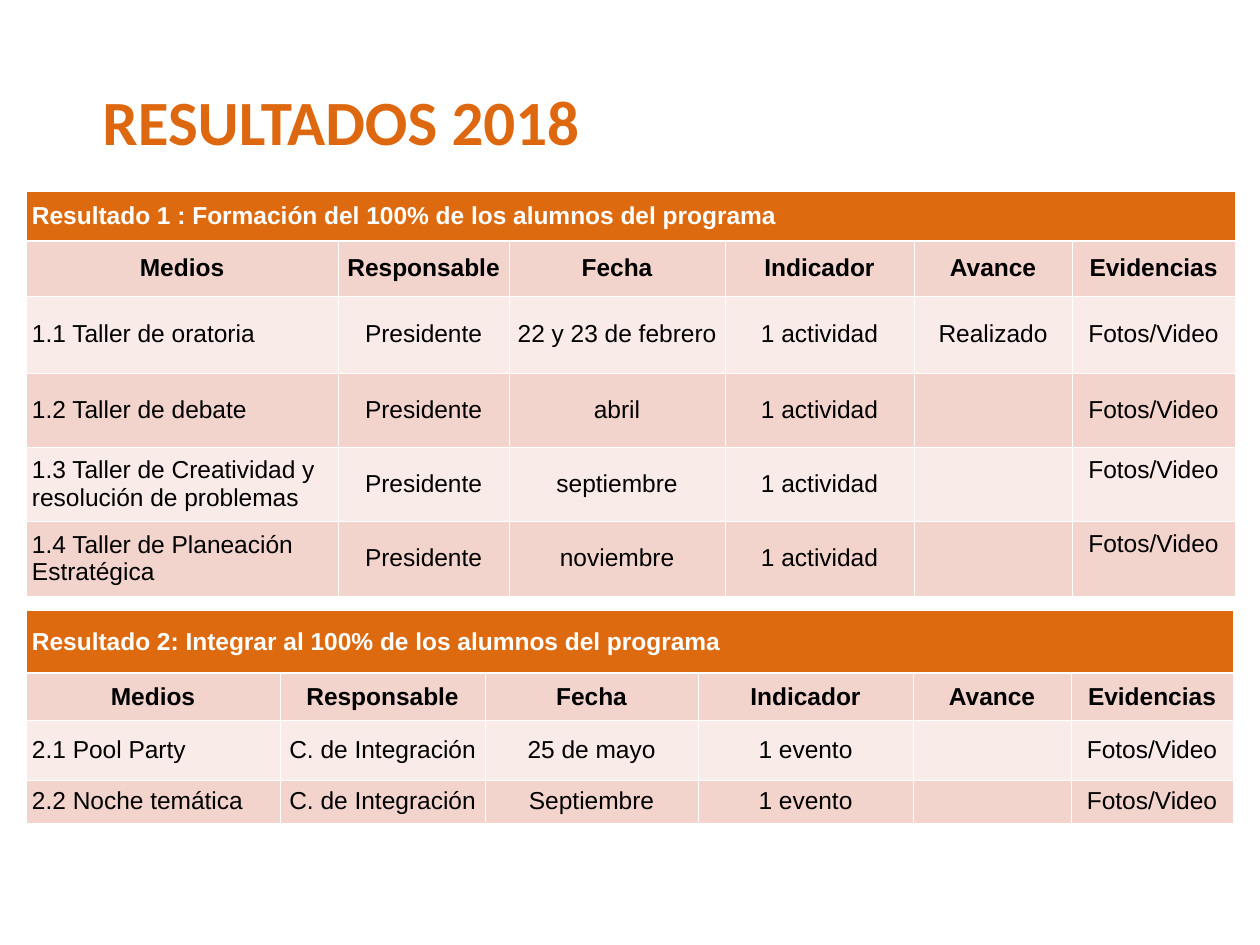
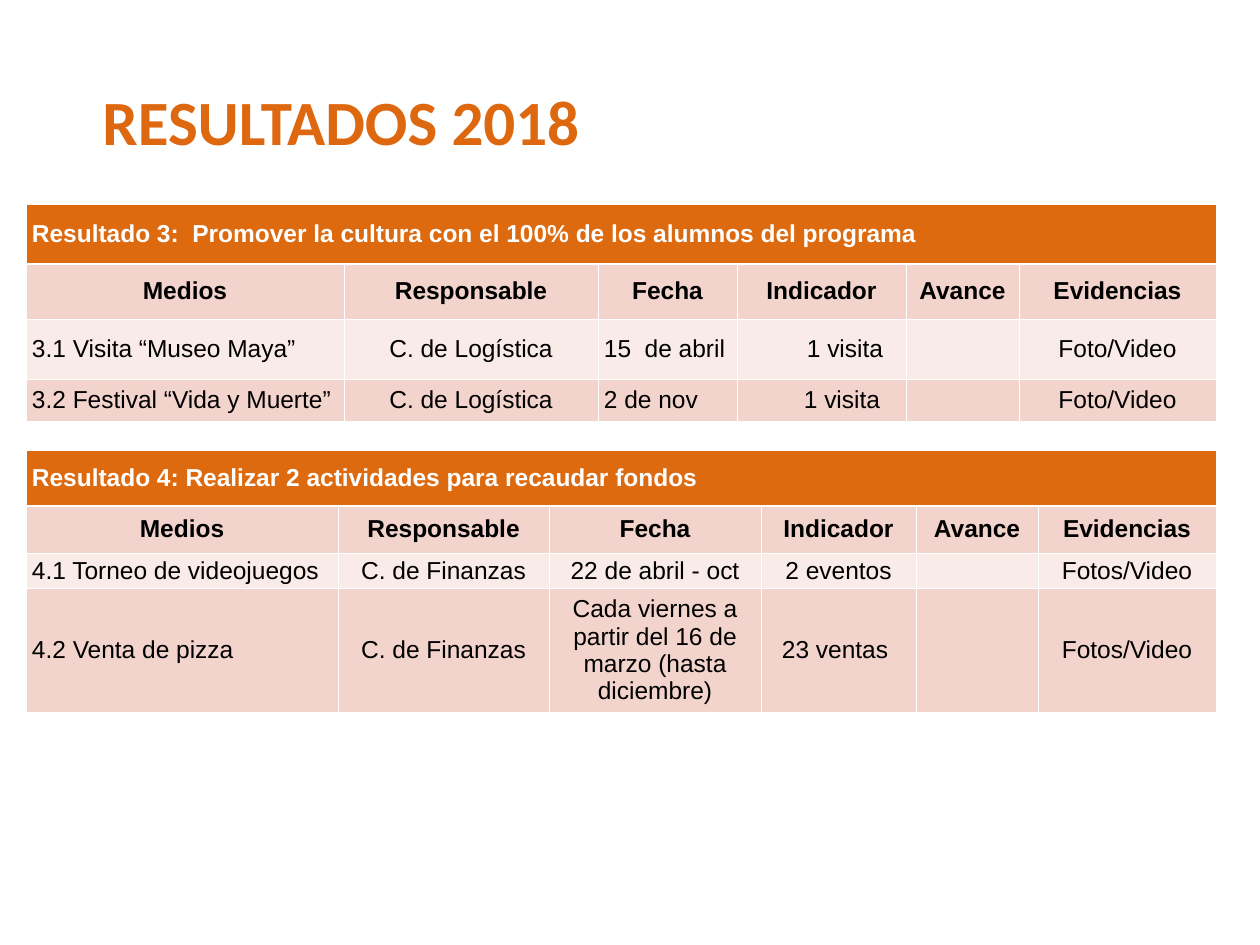
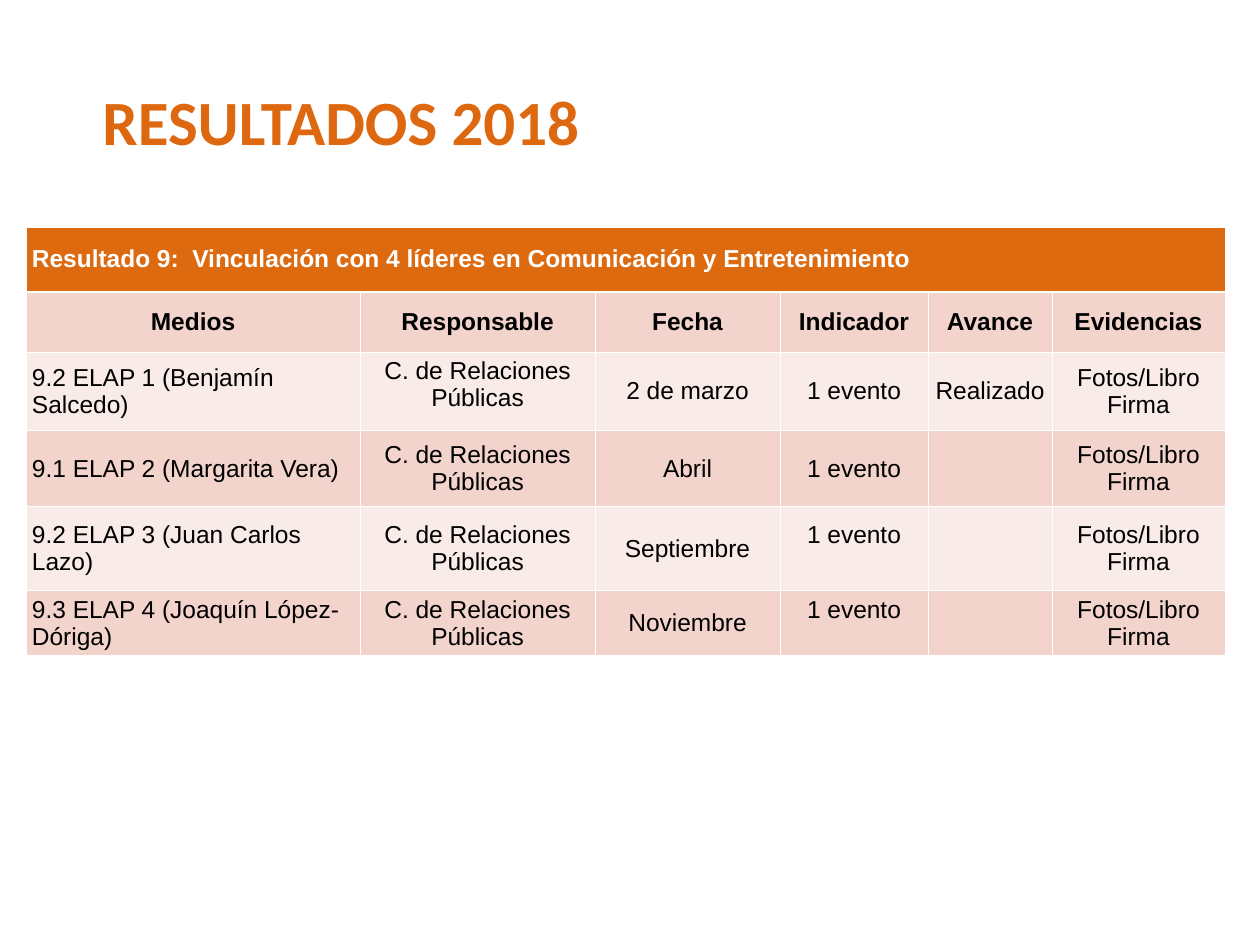
from dataclasses import dataclass, field

from lxml.etree import SubElement
from pptx import Presentation
from pptx.dml.color import RGBColor
from pptx.enum.text import MSO_ANCHOR, PP_ALIGN
from pptx.oxml.ns import qn
from pptx.util import Emu, Pt

PX_PER_INCH = 63
PAGE_WIDTH, PAGE_HEIGHT = 1260, 945
LEFT = 26
TITLE_BOX = (LEFT, 88, 630, 94)
TITLE = "RESULTADOS 2018"
TITLE_COLOR = "DE6810"
BAND = "DE6A10"
DARK_ROW, LIGHT_ROW = "F2D4CC", "F9EBE7"
WHITE, BLACK = "FFFFFF", "000000"
HEADINGS = ("Medios", "Responsable", "Fecha", "Indicador", "Avance", "Evidencias")
PAD_X, PAD_Y = 6, 3
LINE = 28
THIN, THICK = 1, 3


@dataclass
class Result:
    heading: str
    top: int
    widths: tuple
    heights: tuple
    rows: tuple
    left_columns: tuple = (0,)
    extra_margins: dict = field(default_factory=dict)


def px(length):
    return Emu(round(length * 914400 / PX_PER_INCH))


def color(value):
    return RGBColor.from_string(value)


def format_text(paragraph, font_name, size, font_color, bold, align):
    paragraph.alignment = align
    for span in paragraph.runs:
        span.font.name = font_name
        span.font.size = Pt(size)
        span.font.bold = bold
        span.font.color.rgb = color(font_color)


def set_margins(target, left=0, right=0, bottom=0):
    target.margin_left = px(PAD_X + left)
    target.margin_right = px(PAD_X + right)
    target.margin_top = px(PAD_Y)
    target.margin_bottom = px(PAD_Y + bottom)


def add_borders(cell, top, bottom):
    properties = cell._tc.get_or_add_tcPr()
    for side, width in (("L", THIN), ("R", THIN), ("T", top), ("B", bottom)):
        border = SubElement(properties, qn(f"a:ln{side}"), w=str(Pt(width)))
        fill = SubElement(border, qn("a:solidFill"))
        SubElement(fill, qn("a:srgbClr"), val=WHITE)


def add_title(page, left, top, width, height):
    box = page.shapes.add_textbox(px(left), px(top), px(width), px(height))
    frame = box.text_frame
    frame.word_wrap = True
    set_margins(frame)
    frame.text = TITLE
    paragraph = frame.paragraphs[0]
    paragraph.line_spacing = 0.9
    format_text(paragraph, "Calibri", 72, TITLE_COLOR, True, PP_ALIGN.CENTER)


def fill_cell(cell, text, row, column, result):
    add_borders(cell, THICK if row == 1 else THIN, THICK if row == 0 else THIN)
    cell.fill.solid()
    cell.fill.fore_color.rgb = color(BAND if row == 0 else DARK_ROW if row % 2 else LIGHT_ROW)
    cell.vertical_anchor = MSO_ANCHOR.MIDDLE
    set_margins(cell, **result.extra_margins.get((row, column), {}))
    cell.text_frame.text = text
    at_left = row == 0 or (row > 1 and column in result.left_columns)
    format_text(
        cell.text_frame.paragraphs[0],
        "Arial",
        28,
        WHITE if row == 0 else BLACK,
        row < 2,
        PP_ALIGN.LEFT if at_left else PP_ALIGN.CENTER,
    )


def add_result(page, left, result):
    heading_row = (result.heading,) + ("",) * (len(HEADINGS) - 1)
    rows = (heading_row, HEADINGS) + result.rows
    table = page.shapes.add_table(
        len(rows), len(HEADINGS), px(left), px(result.top),
        px(sum(result.widths)), px(sum(result.heights)),
    ).table
    table.first_row = False
    table.horz_banding = False
    for column, width in zip(table.columns, result.widths):
        column.width = px(width)
    for table_row, height in zip(table.rows, result.heights):
        table_row.height = px(height)
    for row, texts in enumerate(rows):
        for column, text in enumerate(texts):
            fill_cell(table.cell(row, column), text, row, column, result)
    table.cell(0, 0).merge(table.cell(0, len(HEADINGS) - 1))


def add_page(deck, results):
    page = deck.slides.add_slide(deck.slide_layouts[6])
    add_title(page, *TITLE_BOX)
    for result in results:
        add_result(page, LEFT, result)


TRAINING = Result(
    "Resultado 1 : Formación del 100% de los alumnos del programa",
    191,
    (312, 171, 216, 189, 158, 163),
    (50, 55, 77, 74, 74, 75),
    (
        ("1.1 Taller de oratoria", "Presidente", "22 y 23 de febrero", "1 actividad", "Realizado", "Fotos/Video"),
        ("1.2 Taller de debate", "Presidente", "abril", "1 actividad", "", "Fotos/Video"),
        ("1.3 Taller de Creatividad y resolución de problemas", "Presidente", "septiembre", "1 actividad", "", "Fotos/Video"),
        ("1.4 Taller de Planeación Estratégica", "Presidente", "noviembre", "1 actividad", "", "Fotos/Video"),
    ),
    extra_margins={(4, 5): {"bottom": LINE}, (5, 5): {"bottom": LINE}},
)
INTEGRATION = Result(
    "Resultado 2: Integrar al 100% de los alumnos del programa",
    610,
    (254, 205, 213, 215, 158, 162),
    (63, 47, 60, 43),
    (
        ("2.1 Pool Party", "C. de Integración", "25 de mayo", "1 evento", "", "Fotos/Video"),
        ("2.2 Noche temática", "C. de Integración", "Septiembre", "1 evento", "", "Fotos/Video"),
    ),
)
CULTURE = Result(
    "Resultado 3:  Promover la cultura con el 100% de los alumnos del programa",
    204,
    (318, 254, 139, 169, 113, 197),
    (60, 55, 60, 42),
    (
        ("3.1 Visita “Museo Maya”", "C. de Logística", "15  de abril", "1 visita", "", "Foto/Video"),
        ("3.2 Festival “Vida y Muerte”", "C. de Logística", "2 de nov", "1 visita", "", "Foto/Video"),
    ),
    left_columns=(0, 2),
    extra_margins={(2, 3): {"left": 47}, (3, 3): {"left": 41}},
)
FUNDING = Result(
    "Resultado 4: Realizar 2 actividades para recaudar fondos",
    450,
    (312, 211, 212, 155, 122, 178),
    (56, 47, 33, 115),
    (
        ("4.1 Torneo de videojuegos", "C. de Finanzas", "22 de abril - oct", "2 eventos", "", "Fotos/Video"),
        ("4.2 Venta de pizza", "C. de Finanzas", "Cada viernes a partir del 16 de marzo (hasta diciembre)", "23 ventas", "", "Fotos/Video"),
    ),
    extra_margins={(3, 3): {"right": 7}},
)
OUTREACH = Result(
    "Resultado 9:  Vinculación con 4 líderes en Comunicación y Entretenimiento",
    227,
    (334, 235, 185, 148, 124, 173),
    (65, 60, 76, 76, 84, 61),
    tuple(
        (activity, "C. de Relaciones Públicas", date, "1 evento", progress, "Fotos/Libro Firma")
        for activity, date, progress in (
            ("9.2 ELAP 1 (Benjamín Salcedo)", "2 de marzo", "Realizado"),
            ("9.1 ELAP 2 (Margarita Vera)", "Abril", ""),
            ("9.2 ELAP 3 (Juan Carlos Lazo)", "Septiembre", ""),
            ("9.3 ELAP 4 (Joaquín López-Dóriga)", "Noviembre", ""),
        )
    ),
    extra_margins={
        (2, 1): {"bottom": LINE // 2},
        (4, 3): {"bottom": LINE},
        (5, 3): {"bottom": LINE - 1},
    },
)


def main():
    deck = Presentation()
    deck.slide_width = px(PAGE_WIDTH)
    deck.slide_height = px(PAGE_HEIGHT)
    for results in ((TRAINING, INTEGRATION), (CULTURE, FUNDING), (OUTREACH,)):
        add_page(deck, results)
    deck.save("out.pptx")


if __name__ == "__main__":
    main()
